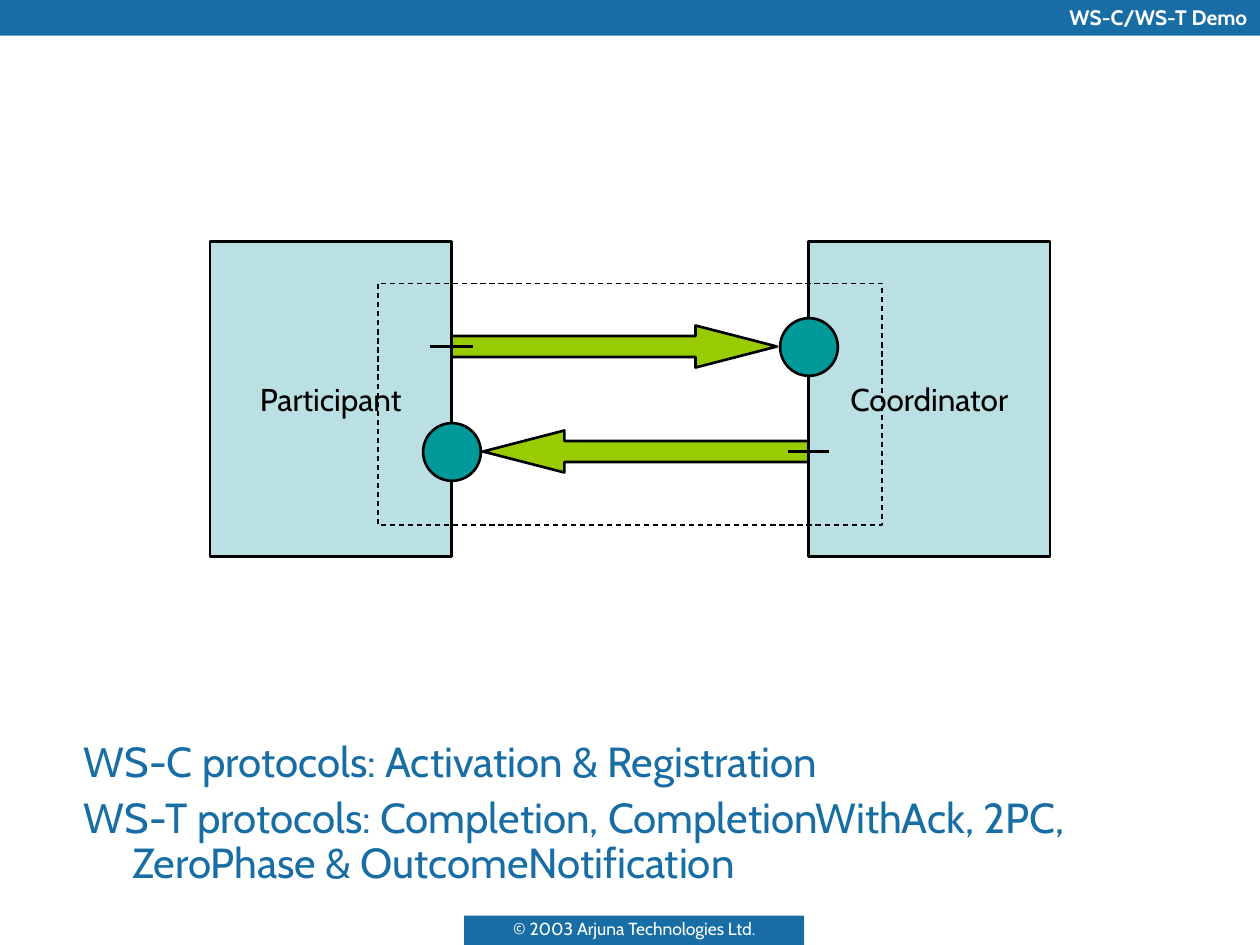
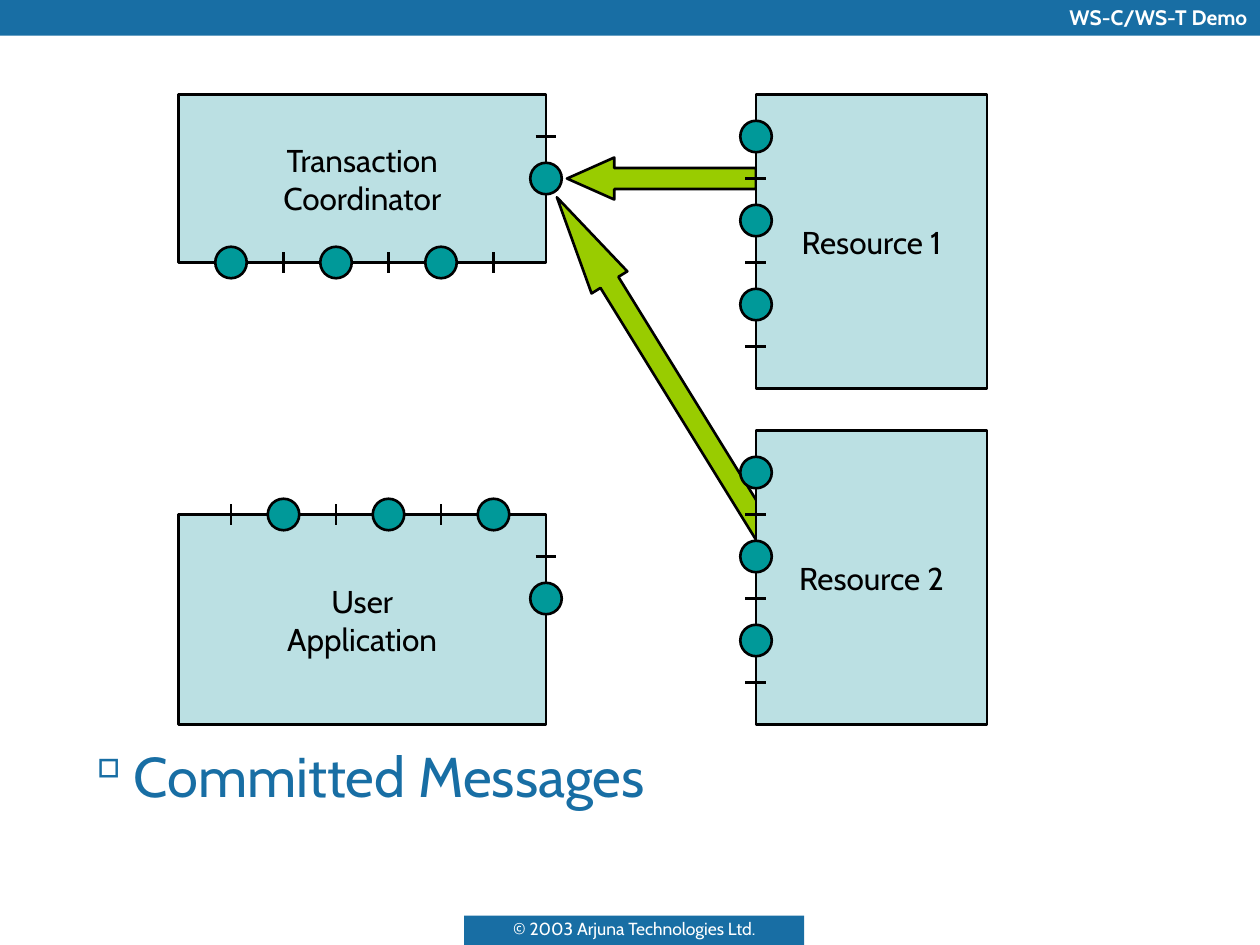
import math
from dataclasses import dataclass

from lxml import etree
from pptx import Presentation
from pptx.dml.color import RGBColor
from pptx.enum.dml import MSO_LINE
from pptx.enum.shapes import MSO_CONNECTOR, MSO_SHAPE
from pptx.enum.text import MSO_ANCHOR, PP_ALIGN
from pptx.oxml.ns import qn
from pptx.util import Pt

RECTANGLE, OVAL, RIGHT_ARROW = MSO_SHAPE.RECTANGLE, MSO_SHAPE.OVAL, MSO_SHAPE.RIGHT_ARROW
STRAIGHT = MSO_CONNECTOR.STRAIGHT
DASH = MSO_LINE.DASH
LEFT, CENTER, RIGHT = PP_ALIGN.LEFT, PP_ALIGN.CENTER, PP_ALIGN.RIGHT
TOP, MIDDLE, BOTTOM = MSO_ANCHOR.TOP, MSO_ANCHOR.MIDDLE, MSO_ANCHOR.BOTTOM

EMU_PER_PX = 7620  # 120 px to the inch
FONT = "Cabin"
COLORS = {
    "band": "186EA4",
    "white": "FFFFFF",
    "ink": "000000",
    "block": "BBE0E3",
    "port": "009999",
    "arrow": "99CC00",
}
PAGE_WIDTH, PAGE_HEIGHT = 1200, 900
ARROW_WIDTH = 40
HANGING_INDENT = 46


@dataclass(frozen=True)
class Area:
    left: int
    top: int
    width: int
    height: int


@dataclass(frozen=True)
class Block:
    label: str
    area: Area


@dataclass(frozen=True)
class Arrow:
    tail: tuple[int, int]
    tip: tuple[int, int]


@dataclass(frozen=True)
class PortRow:
    """Ports along a block edge: "o" is a circle, "|" a tick across the edge."""
    x: int
    y: int
    step: int
    pattern: str
    is_column: bool = True


@dataclass(frozen=True)
class PortSize:
    circle: int
    tick: int


HEADER = Area(0, 0, PAGE_WIDTH, 34)
FOOTER = Area(442, 872, 324, 28)
BODY = Area(68, 700, 1132, 156)


def px(length: float) -> int:
    return round(length * EMU_PER_PX)


def rgb(name: str) -> RGBColor:
    return RGBColor.from_string(COLORS[name])


def write(box, text: str, *, size: int, color: str, bold: bool = False,
          align=CENTER, anchor=MIDDLE, wrap: bool = True, spacing=None,
          before: int = 0, indent: int = 0, bullet: str = "") -> None:
    frame = box.text_frame
    frame.word_wrap = wrap
    frame.vertical_anchor = anchor
    frame.text = text
    for index, para in enumerate(frame.paragraphs):
        para.alignment = align
        para.line_spacing = spacing
        para.space_before = Pt(before if index else 0)
        properties = para._p.get_or_add_pPr()
        if indent:
            properties.set("marL", str(px(indent)))
            properties.set("indent", str(-px(indent)))
        if bullet:
            bullet_color = etree.SubElement(properties, qn("a:buClr"))
            etree.SubElement(bullet_color, qn("a:srgbClr"), val=COLORS[color])
            etree.SubElement(properties, qn("a:buChar"), char=bullet)
        for span in para.runs:
            span.font.name = FONT
            span.font.size = Pt(size)
            span.font.bold = bold
            span.font.color.rgb = rgb(color)


def add_figure(page, kind, area: Area, *, fill: str = "", line: str = "ink",
               line_width: float = 1.5):
    shape = page.shapes.add_shape(
        kind, px(area.left), px(area.top), px(area.width), px(area.height))
    shape.shadow.inherit = False
    if fill:
        shape.fill.solid()
        shape.fill.fore_color.rgb = rgb(fill)
    else:
        shape.fill.background()
    if line:
        shape.line.color.rgb = rgb(line)
        shape.line.width = Pt(line_width)
    else:
        shape.line.fill.background()
    return shape


def add_arrow(page, arrow: Arrow) -> None:
    """Draw a block arrow whose head takes a quarter of its length."""
    (tail_x, tail_y), (tip_x, tip_y) = arrow.tail, arrow.tip
    length = math.dist(arrow.tail, arrow.tip)
    area = Area(round((tail_x + tip_x - length) / 2),
                round((tail_y + tip_y - ARROW_WIDTH) / 2),
                round(length), ARROW_WIDTH)
    shape = add_figure(page, RIGHT_ARROW, area, fill="arrow")
    shape.adjustments[0] = 0.5
    shape.adjustments[1] = length / 4 / ARROW_WIDTH
    shape.rotation = math.degrees(math.atan2(tip_y - tail_y, tip_x - tail_x))


def add_block(page, block: Block) -> None:
    shape = add_figure(page, RECTANGLE, block.area, fill="block")
    write(shape, block.label, size=18, color="ink", wrap=False)


def add_tick(page, x: int, y: int, length: int, horizontal: bool) -> None:
    reach_x, reach_y = (length / 2, 0) if horizontal else (0, length / 2)
    tick = page.shapes.add_connector(
        STRAIGHT, px(x - reach_x), px(y - reach_y), px(x + reach_x), px(y + reach_y))
    tick.line.color.rgb = rgb("ink")
    tick.line.width = Pt(1.5)
    etree.SubElement(tick._element.spPr, qn("a:effectLst"))


def add_ports(page, row: PortRow, size: PortSize) -> None:
    for index, mark in enumerate(row.pattern):
        shift = index * row.step
        x, y = (row.x, row.y + shift) if row.is_column else (row.x + shift, row.y)
        if mark == "o":
            corner = size.circle // 2
            area = Area(x - corner, y - corner, size.circle, size.circle)
            add_figure(page, OVAL, area, fill="port")
        else:
            add_tick(page, x, y, size.tick, row.is_column)


def add_band(page, area: Area, text: str, **text_format) -> None:
    band = add_figure(page, RECTANGLE, area, fill="band", line="")
    write(band, text, color="white", anchor=BOTTOM, **text_format)


def add_page(deck):
    page = deck.slides.add_slide(deck.slide_layouts[6])
    add_band(page, HEADER, "WS-C/WS-T Demo", size=12, bold=True, align=RIGHT)
    add_band(page, FOOTER, "© 2003 Arjuna Technologies Ltd.", size=10)
    return page


def add_body(page, text: str, **text_format) -> None:
    box = page.shapes.add_textbox(
        px(BODY.left), px(BODY.top), px(BODY.width), px(BODY.height))
    write(box, text, color="band", align=LEFT, anchor=TOP,
          indent=HANGING_INDENT, **text_format)


def add_diagram(page, arrows: list[Arrow], blocks: list[Block],
                rows: list[PortRow], size: PortSize) -> None:
    for arrow in arrows:
        add_arrow(page, arrow)
    for block in blocks:
        add_block(page, block)
    for row in rows:
        add_ports(page, row, size)


def add_protocols_page(deck) -> None:
    page = add_page(deck)
    add_body(page, "WS-C protocols: Activation & Registration\n"
                   "WS-T protocols: Completion, CompletionWithAck, 2PC, "
                   "ZeroPhase & OutcomeNotification",
             size=24, spacing=0.9, before=6)
    add_diagram(
        page,
        arrows=[Arrow((430, 330), (740, 330)), Arrow((770, 430), (460, 430))],
        blocks=[Block("Participant", Area(200, 230, 230, 300)),
                Block("Coordinator", Area(770, 230, 230, 300))],
        rows=[PortRow(430, 330, 100, "|o"), PortRow(770, 330, 100, "o|")],
        size=PortSize(circle=55, tick=40))
    protocol_frame = add_figure(page, RECTANGLE, Area(360, 270, 480, 230), line_width=0.75)
    protocol_frame.line.dash_style = DASH


def add_committed_page(deck) -> None:
    page = add_page(deck)
    add_body(page, "Committed Messages", size=32, bullet="▫")
    add_diagram(
        page,
        arrows=[Arrow((730, 512), (530, 188)), Arrow((720, 170), (540, 170))],
        blocks=[Block("Transaction\nCoordinator", Area(170, 90, 350, 160)),
                Block("User\vApplication", Area(170, 490, 350, 200)),
                Block("Resource 1", Area(720, 90, 220, 280)),
                Block("Resource 2", Area(720, 410, 220, 280))],
        rows=[PortRow(220, 250, 50, "o|o|o|", is_column=False),
              PortRow(220, 490, 50, "|o|o|o", is_column=False),
              PortRow(520, 130, 40, "|o"),
              PortRow(520, 530, 40, "|o"),
              PortRow(720, 130, 40, "o|o|o|"),
              PortRow(720, 450, 40, "o|o|o|")],
        size=PortSize(circle=30, tick=20))


def main() -> None:
    deck = Presentation()
    deck.slide_width, deck.slide_height = px(PAGE_WIDTH), px(PAGE_HEIGHT)
    add_protocols_page(deck)
    add_committed_page(deck)
    deck.save("out.pptx")


if __name__ == "__main__":
    main()
